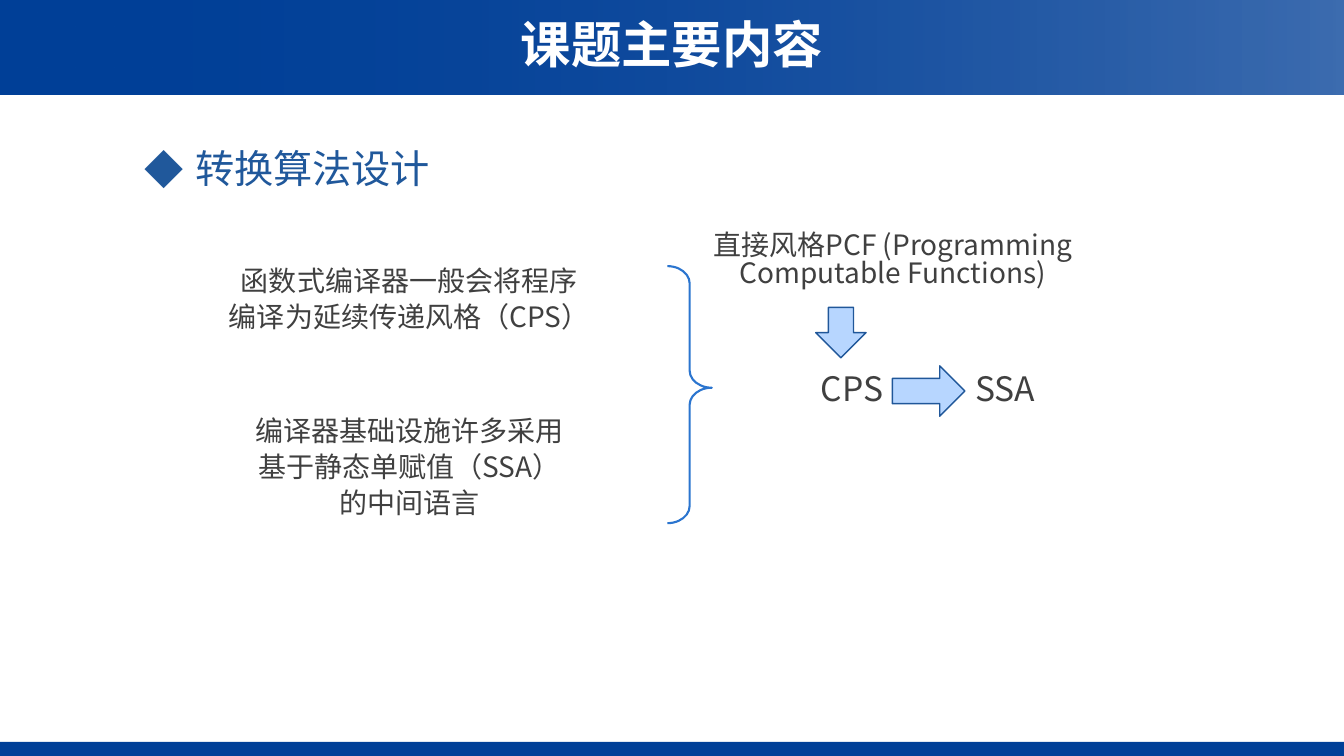
from lxml import etree
from pptx import Presentation
from pptx.dml.color import RGBColor
from pptx.enum import shapes, text
from pptx.oxml import ns
from pptx.util import Inches, Pt

FONT = "Noto Sans CJK SC"
COLORS = {
    "banner": "004098", "title": "FFFFFF", "heading": "20589B", "body": "404040",
    "brace": "2B75CF", "arrow": "B7D6FF", "arrow_line": "205799",
}


def color(name):
    return RGBColor.from_string(COLORS[name])


def add_shape(slide, kind, box, line=None, width=1, fill=None):
    shape = slide.shapes.add_shape(kind, *map(Inches, box))
    shape.shadow.inherit = False
    if fill:
        shape.fill.solid()
        shape.fill.fore_color.rgb = color(fill)
    else:
        shape.fill.background()
    if line:
        shape.line.color.rgb = color(line)
        shape.line.width = Pt(width)
    else:
        shape.line.fill.background()
    return shape


def fade_right(shape, opacity):
    """Fade the banner colour to the given opacity percent at its right edge."""
    shape.fill.gradient()
    shape.fill.gradient_angle = 180
    for stop in shape.fill.gradient_stops:
        stop.color.rgb = color("banner")
    right_color = next(shape._element.iter(ns.qn("a:srgbClr")))
    etree.SubElement(right_color, ns.qn("a:alpha"), val=str(opacity * 1000))


def add_bullet(paragraph, symbol, indent):
    properties = paragraph._p.get_or_add_pPr()
    properties.set("marL", str(Inches(indent)))
    properties.set("indent", str(-Inches(indent)))
    etree.SubElement(properties, ns.qn("a:buFont"), typeface=FONT)
    etree.SubElement(properties, ns.qn("a:buChar"), char=symbol)


def write_text(shape, box, lines, size, tone="body", bullet=None, spacing=0.82,
               bold=False, anchor=text.MSO_ANCHOR.TOP):
    shape.left, shape.top, shape.width, shape.height = map(Inches, box)
    frame = shape.text_frame
    frame.word_wrap = True
    frame.auto_size = text.MSO_AUTO_SIZE.NONE
    frame.vertical_anchor = anchor
    frame.margin_top = Inches(0.09)
    frame.margin_bottom = Inches(0.09)
    frame.text = "\n".join(lines)
    for paragraph in frame.paragraphs:
        if bullet:
            add_bullet(paragraph, bullet, 0.5)
        paragraph.alignment = text.PP_ALIGN.CENTER
        paragraph.line_spacing = spacing
        paragraph.space_before = Pt(0)
        paragraph.space_after = Pt(6)
        font = paragraph.font
        font.size = Pt(size)
        font.bold = bold
        font.color.rgb = color(tone)
        font.name = FONT
        etree.SubElement(font._element, ns.qn("a:ea"), typeface=FONT)


def add_text(slide, box, lines, size):
    write_text(slide.shapes.add_textbox(*map(Inches, box)), box, lines, size)


def add_frame(slide):
    kind = shapes.MSO_SHAPE.RECTANGLE
    footer = add_shape(slide, kind, (0, 7.36, 13.33, 0.14), fill="banner")
    banners = []
    for opacity in (77, 0):
        banner = add_shape(slide, kind, (0, 0, 13.33, 0.94))
        fade_right(banner, opacity)
        banners.append(banner)
    # Behind the placeholders
    for position, shape in enumerate([footer, *banners], start=2):
        slide.shapes._spTree.insert(position, shape._element)


def main():
    presentation = Presentation()
    presentation.slide_width = Inches(13.33)
    presentation.slide_height = Inches(7.5)
    slide = presentation.slides.add_slide(presentation.slide_layouts[1])
    add_frame(slide)

    # Title and heading
    write_text(slide.shapes.title, (0, 0, 13.33, 0.94), ["课题主要内容"], 36, "title",
               spacing=0.9, bold=True, anchor=text.MSO_ANCHOR.MIDDLE)
    write_text(slide.placeholders[1], (0.38, 1.42, 4.94, 0.57), ["转换算法设计"], 28,
               "heading", bullet="◆")

    # Background on the left, gathered by the brace
    add_text(slide, (1.59, 2.58, 4.94, 0.86),
             ["函数式编译器一般会将程序", "编译为延续传递风格（CPS）"], 20)
    add_text(slide, (0.5, 4.07, 7.12, 1.28),
             ["编译器基础设施许多采用", "基于静态单赋值（SSA）", "的中间语言"], 20)
    brace = add_shape(slide, shapes.MSO_SHAPE.RIGHT_BRACE, (6.62, 2.64, 0.44, 2.55),
                      "brace", 1.5)
    brace.adjustments[0] = 0.386
    brace.adjustments[1] = 0.473

    # Conversion path: PCF, CPS, SSA
    add_text(slide, (6.81, 2.23, 4.09, 0.77),
             ["直接风格PCF (Programming Computable Functions)"], 20)
    add_text(slide, (7.95, 3.63, 1, 0.5), ["CPS"], 24)
    add_text(slide, (9.47, 3.63, 1, 0.5), ["SSA"], 24)
    for box, rotation in (((8.09, 3.05, 0.5, 0.5), 90), ((8.85, 3.63, 0.72, 0.5), 0)):
        arrow = add_shape(slide, shapes.MSO_SHAPE.RIGHT_ARROW, box, "arrow_line",
                          fill="arrow")
        arrow.rotation = rotation

    presentation.save("out.pptx")


if __name__ == "__main__":
    main()
